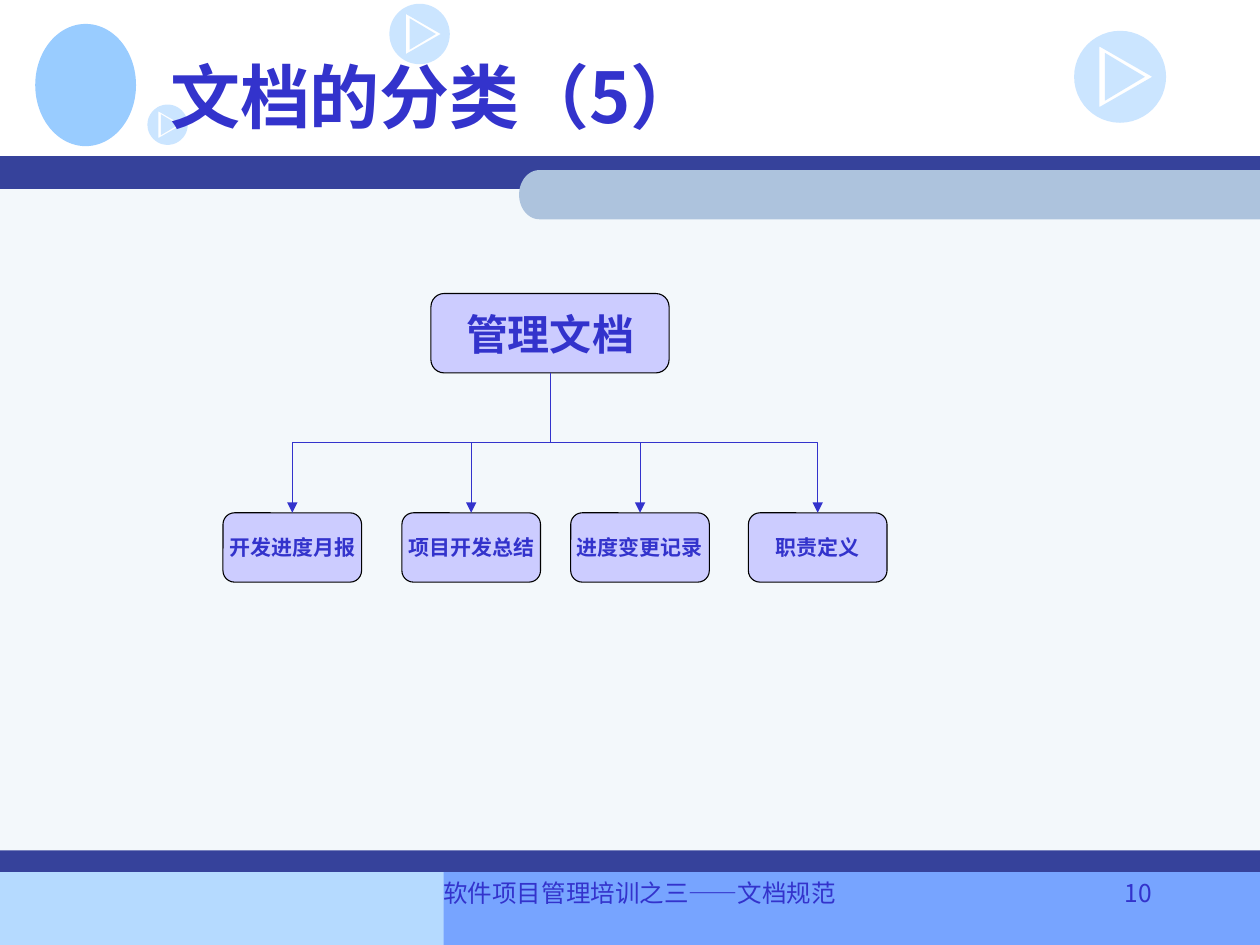
"""Build the slide on document categories, with its tree of management documents."""
import math

import pptx
import pptx.dml.color
import pptx.enum.shapes
import pptx.enum.text
import pptx.oxml.ns
import pptx.util
from pptx.util import Inches

COLOURS = {
    "ink": "3333CC", "box": "CCCCFF", "edge": "000000", "band": "36429B",
    "panel": "F3F8FB", "tab": "ADC3DD", "sky": "99CCFF",
    "footer_left": "B5DAFF", "footer_right": "77A4FF",
}
SHAPES = pptx.enum.shapes.MSO_SHAPE
CONNECTORS = pptx.enum.shapes.MSO_CONNECTOR
ALIGN = pptx.enum.text.PP_ALIGN
ANCHOR = pptx.enum.text.MSO_ANCHOR
LINE_WIDTH = pptx.util.Pt(0.62)

BANDS = [
    ("footer_left", 0, 6.92, 4.25, 0.58),
    ("footer_right", 3.52, 6.91, 6.48, 0.59),
    ("panel", 0, 1.4, 10, 5.51),
    ("band", 0, 1.24, 10, 0.26),
    ("band", 0, 6.75, 10, 0.17),
]
PLAY_ICONS = [(3.33, 0.27, 0.24), (8.89, 0.61, 0.365), (1.33, 0.99, 0.16)]
CHILDREN = [("开发进度月报", 1.77), ("项目开发总结", 3.19),
            ("进度变更记录", 4.53), ("职责定义", 5.94)]
CHILD_TOP, CHILD_WIDTH, CHILD_HEIGHT = 4.07, 1.1, 0.55
BUS_TOP = 3.51


def colour(name):
    return pptx.dml.color.RGBColor.from_string(COLOURS[name])


def paint(shape, fill, edge=None):
    shape.shadow.inherit = False
    shape.fill.solid()
    shape.fill.fore_color.rgb = colour(fill)
    if edge:
        shape.line.color.rgb = colour(edge)
        shape.line.width = LINE_WIDTH
    else:
        shape.line.fill.background()


def write(box, text, size, face="Noto Sans CJK SC", bold=False,
          align=ALIGN.LEFT, anchor=ANCHOR.TOP, wrap=True):
    frame = box.text_frame
    frame_format = {"word_wrap": wrap, "vertical_anchor": anchor,
                    "auto_size": pptx.enum.text.MSO_AUTO_SIZE.NONE}
    for name, value in frame_format.items():
        setattr(frame, name, value)
    para = frame.paragraphs[0]
    para.alignment = align
    span = para.add_run()
    span.text = text
    font_format = {"size": pptx.util.Pt(size), "bold": bold, "name": face}
    for name, value in font_format.items():
        setattr(span.font, name, value)
    span.font.color.rgb = colour("ink")
    east_asian = pptx.oxml.ns.qn("a:ea")
    properties = span.font._element
    properties.append(properties.makeelement(east_asian, {"typeface": face}))


def add_plain(page, kind, fill, left, top, width, height):
    shape = page.shapes.add_shape(
        kind, Inches(left), Inches(top), Inches(width), Inches(height))
    paint(shape, fill)
    return shape


def arc(x, y, radius_x, radius_y, start, end, steps=48):
    angles = [math.radians(start + (end - start) * step / steps)
              for step in range(steps + 1)]
    return [(x + radius_x * math.cos(angle), y + radius_y * math.sin(angle))
            for angle in angles]


def add_outline(page, fill, contours):
    builder = None
    for contour in contours:
        points = [(Inches(x), Inches(y)) for x, y in contour]
        if builder is None:
            builder = page.shapes.build_freeform(*points[0], scale=1.0)
        else:
            builder.move_to(*points[0])
        builder.add_line_segments(points[1:], close=True)
    shape = builder.convert_to_shape()
    paint(shape, fill)
    return shape


def add_play_icon(page, x, y, radius):
    def triangle(left, right, half):
        return [(x + left * radius, y - half * radius),
                (x + right * radius, y),
                (x + left * radius, y + half * radius)]

    icon = add_outline(page, "sky", [
        arc(x, y, radius, radius, 0, 360),
        triangle(-0.45, 0.7, 0.66),
        triangle(-0.33, 0.54, 0.52),
    ])
    tint = icon._element.spPr.find(".//" + pptx.oxml.ns.qn("a:srgbClr"))
    tint.append(tint.makeelement(pptx.oxml.ns.qn("a:alpha"), {"val": "50000"}))


def add_node(page, text, size, left, top, width, height):
    node = add_plain(page, SHAPES.FLOWCHART_ALTERNATE_PROCESS, "box",
                     left, top, width, height)
    paint(node, "box", "edge")
    write(node, text, size, bold=True, align=ALIGN.CENTER,
          anchor=ANCHOR.MIDDLE, wrap=False)
    return node


def add_arrow(page, kind, *ends):
    arrow = page.shapes.add_connector(kind, *[Inches(end) for end in ends])
    arrow.line.color.rgb = colour("ink")
    arrow.line.width = LINE_WIDTH
    line = arrow.line._get_or_add_ln()
    line.append(line.makeelement(pptx.oxml.ns.qn("a:tailEnd"), {"type": "triangle"}))
    properties = arrow._element.spPr
    properties.append(properties.makeelement(pptx.oxml.ns.qn("a:effectLst"), {}))
    return arrow


def add_tree(page):
    add_node(page, "管理文档", 24, 3.42, 2.33, 1.89, 0.63)
    nodes = [add_node(page, text, 12, left, CHILD_TOP, CHILD_WIDTH, CHILD_HEIGHT)
             for text, left in CHILDREN]
    left_arrow = add_arrow(page, CONNECTORS.ELBOW, 2.79, 2.49, 3.9, 4.54)
    left_arrow._element.spPr.xfrm.set("rot", "5400000")
    right_arrow = add_arrow(page, CONNECTORS.ELBOW, 4.29, BUS_TOP, 6.49, CHILD_TOP)
    geometry = right_arrow._element.spPr.find(pptx.oxml.ns.qn("a:prstGeom"))
    geometry.set("prst", "bentConnector2")
    for node, (_, left) in list(zip(nodes, CHILDREN))[1:3]:
        middle = left + CHILD_WIDTH / 2
        arrow = add_arrow(page, CONNECTORS.STRAIGHT, middle, BUS_TOP, middle, CHILD_TOP)
        arrow.end_connect(node, 0)


def add_backdrop(page):
    for band in BANDS:
        add_plain(page, SHAPES.RECTANGLE, *band)
    add_outline(page, "tab", [
        [(10, 1.35)] + arc(4.28, 1.545, 0.16, 0.195, 270, 90) + [(10, 1.74)]])
    add_plain(page, SHAPES.OVAL, "sky", 0.28, 0.19, 0.8, 0.97)
    for icon in PLAY_ICONS:
        add_play_icon(page, *icon)


def add_title(page, text):
    title = page.shapes.title
    place = {"left": 1.25, "top": 0.17, "width": 8.5, "height": 1.17}
    for name, value in place.items():
        setattr(title, name, Inches(value))
    write(title, text, 40, bold=True, anchor=ANCHOR.MIDDLE)
    page.shapes._spTree.append(title._element)


def add_footer(page, text, left, width, align):
    box = page.shapes.add_textbox(
        Inches(left), Inches(6.92), Inches(width), Inches(0.5))
    write(box, text, 14, face="Noto Sans CJK KR", align=align)


def main():
    deck = pptx.Presentation()
    deck.slide_width, deck.slide_height = Inches(10), Inches(7.5)
    page = deck.slides.add_slide(deck.slide_layouts[5])
    add_backdrop(page)
    add_title(page, "文档的分类（5）")
    add_tree(page)
    add_footer(page, "软件项目管理培训之三——文档规范", 3.42, 5.05, ALIGN.LEFT)
    add_footer(page, "10", 8.46, 0.78, ALIGN.RIGHT)
    deck.save("out.pptx")


if __name__ == "__main__":
    main()
